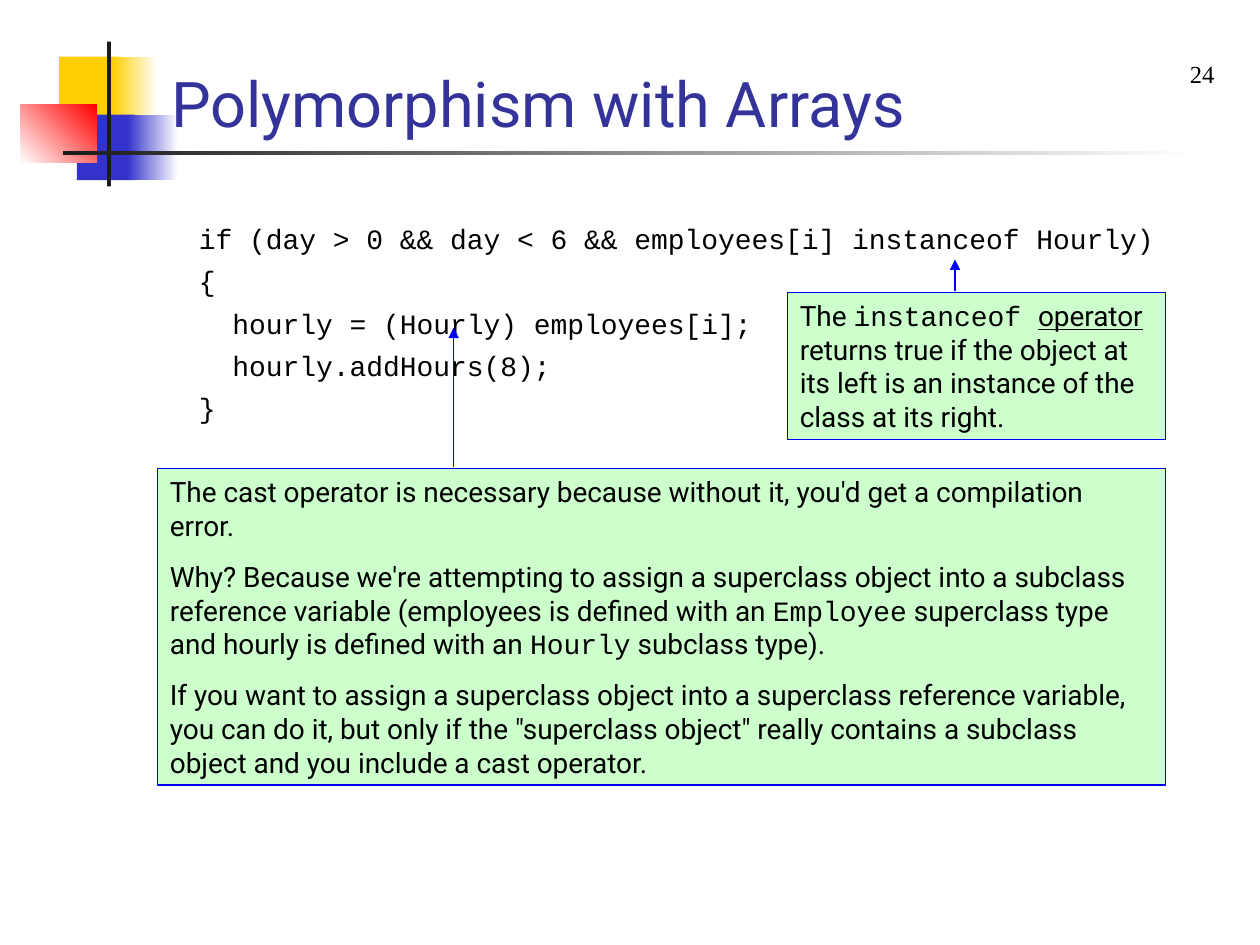
from lxml import etree
from pptx import Presentation
from pptx.dml.color import RGBColor
from pptx.enum.shapes import MSO_CONNECTOR, MSO_SHAPE
from pptx.enum.text import MSO_ANCHOR, MSO_AUTO_SIZE, PP_ALIGN
from pptx.oxml.ns import qn
from pptx.util import Inches, Pt

RECTANGLE = MSO_SHAPE.RECTANGLE
STRAIGHT = MSO_CONNECTOR.STRAIGHT
TOP, BOTTOM = MSO_ANCHOR.TOP, MSO_ANCHOR.BOTTOM
GROW = MSO_AUTO_SIZE.SHAPE_TO_FIT_TEXT
LEFT, CENTER = PP_ALIGN.LEFT, PP_ALIGN.CENTER

COLUMNS, ROWS = 100, 75
COLORS = {
    "white": "FFFFFF", "black": "000000", "yellow": "FFCF01", "blue": "3333CC",
    "red": "FF0000", "ink": "1C1C1C", "title": "333399", "note": "CCFFCC",
    "edge": "0000FF",
}
FORMATS = {
    "title": {"name": "Roboto", "size": Pt(36)},
    "note": {"name": "Roboto", "size": Pt(16)},
    "term": {"name": "Roboto", "size": Pt(16), "underline": True},
    "code": {"name": "Courier New", "size": Pt(16)},
    "number": {"name": "Times New Roman", "size": Pt(14)},
}


def color(name):
    return RGBColor.from_string(COLORS[name])


class Deck:
    """Holds the style and the current slide; lengths are grid columns and rows."""

    def __init__(self):
        self.presentation = Presentation()
        self.presentation.slide_width = Inches(10)
        self.presentation.slide_height = Inches(7.5)
        self.cell_width = self.presentation.slide_width / COLUMNS
        self.cell_height = self.presentation.slide_height / ROWS
        blank = self.presentation.slide_layouts[6]
        self.slide = self.presentation.slides.add_slide(blank)

    def place(self, *lengths):
        cells = (self.cell_width, self.cell_height) * 2
        return [round(length * cell) for length, cell in zip(lengths, cells)]

    def block(self, area, start, end=None, angle=0):
        """A borderless rectangle, solid or fading from start to end."""
        block = self.slide.shapes.add_shape(RECTANGLE, *self.place(*area))
        block.shadow.inherit = False
        block.line.fill.background()
        if end is None:
            block.fill.solid()
            block.fill.fore_color.rgb = color(start)
        else:
            block.fill.gradient()
            block.fill.gradient_angle = angle
            for stop, name in zip(block.fill.gradient_stops, (start, end)):
                stop.color.rgb = color(name)
        return block

    def set_text(self, frame, paragraphs, ink="black", gap=0, align=LEFT, anchor=TOP):
        """Each paragraph is a list of (text, format name) runs."""
        frame.word_wrap = True
        frame.vertical_anchor = anchor
        for index, runs in enumerate(paragraphs):
            paragraph = frame.add_paragraph() if index else frame.paragraphs[0]
            paragraph.alignment = align
            if index:
                paragraph.space_before = Pt(gap)
            for text, style in runs:
                run = paragraph.add_run()
                run.text = text
                run.font.color.rgb = color(ink)
                for attribute, value in FORMATS[style].items():
                    setattr(run.font, attribute, value)

    def text(self, area, paragraphs, **layout):
        box = self.slide.shapes.add_textbox(*self.place(*area))
        self.set_text(box.text_frame, paragraphs, **layout)

    def note(self, area, paragraphs):
        note = self.block(area, "note")
        note.line.color.rgb = color("edge")
        note.line.width = Pt(0.75)
        self.set_text(note.text_frame, paragraphs, gap=10)
        note.text_frame.auto_size = GROW

    def arrow(self, column, start_row, end_row):
        ends = self.place(column, start_row, column, end_row)
        arrow = self.slide.shapes.add_connector(STRAIGHT, *ends)
        arrow.line.color.rgb = color("edge")
        arrow.line.width = Pt(0.75)
        properties = arrow._element.spPr
        outline = properties.find(qn("a:ln"))
        etree.SubElement(outline, qn("a:tailEnd"), type="triangle")
        etree.SubElement(properties, qn("a:effectLst"))


CODE = """\
if (day > 0 && day < 6 && employees[i] instanceof Hourly)
{
  hourly = (Hourly) employees[i];
  hourly.addHours(8);
}"""

INSTANCEOF_NOTE = [[
    ("The ", "note"), ("instanceof ", "code"), ("operator", "term"),
    (" returns true if the object at its left is an instance of the class "
     "at its right.", "note"),
]]

CAST_NOTE = [
    [("The cast operator is necessary because without it, you'd get a "
      "compilation error.", "note")],
    [("Why? Because we're attempting to assign a superclass object into a "
      "subclass reference variable (employees is defined with an ", "note"),
     ("Employee", "code"),
     (" superclass type and hourly is defined with an ", "note"),
     ("Hourly", "code"),
     (" subclass type).", "note")],
    [("If you want to assign a superclass object into a superclass reference "
      "variable, you can do it, but only if the \"superclass object\" really "
      "contains a subclass object and you include a cast operator.", "note")],
]


def main():
    deck = Deck()

    # Corner ornament and title rule
    deck.block((4.7, 4.5, 4.8, 5.2), "yellow")
    deck.block((8.9, 4.5, 3.6, 5.2), "yellow", "white")
    deck.block((6.1, 9.1, 4.6, 5.2), "blue")
    deck.block((10.1, 9.1, 4, 5.2), "blue", "white")
    deck.block((1.6, 8.3, 6.1, 4.6), "white", "red", angle=45)
    deck.block((8.5, 3.3, 0.3, 11.5), "ink")
    deck.block((5, 12, 90, 0.3), "ink", "white")

    # Title and code
    deck.text((12.6, 3.4, 77.4, 8.2), [[("Polymorphism with Arrays", "title")]],
              ink="title", anchor=BOTTOM)
    deck.text((14.8, 17.1, 82.7, 17), [[(line, "code")] for line in CODE.split("\n")],
              gap=5)

    # Notes pointing at the code
    deck.note((62.5, 23.2, 30, 11.7), INSTANCEOF_NOTE)
    deck.arrow(75.8, 23.1, 20.6)
    deck.note((12.5, 37.2, 80, 25.1), CAST_NOTE)
    deck.arrow(36, 37.1, 26)

    # Slide number
    deck.text((93.3, 4.2, 4.2, 3.3), [[("24", "number")]], align=CENTER)

    deck.presentation.save("out.pptx")


if __name__ == "__main__":
    main()
